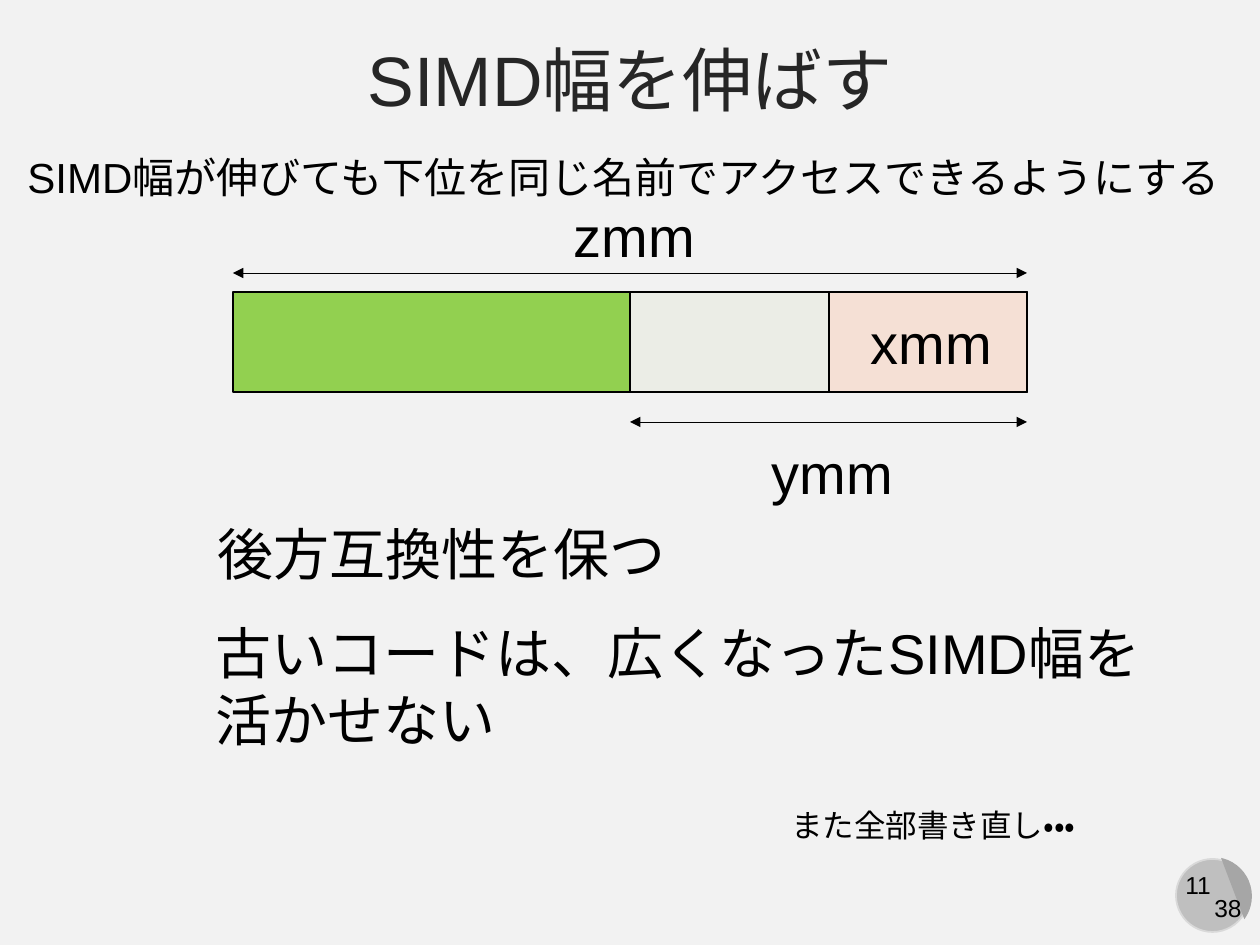
from dataclasses import dataclass

from lxml.etree import SubElement
from pptx import Presentation
from pptx.dml.color import RGBColor
from pptx.enum.lang import MSO_LANGUAGE_ID
from pptx.enum.shapes import MSO_CONNECTOR, MSO_SHAPE
from pptx.enum.text import MSO_ANCHOR, PP_ALIGN
from pptx.oxml.ns import qn
from pptx.util import Emu, Pt

EMU_PER_PX = 914400 / 126


@dataclass(frozen=True)
class Theme:
    font: str = "Arial"
    background: str = "F2F2F2"
    title: str = "262626"
    ink: str = "000000"
    zmm: str = "92D050"
    ymm: str = "EBEDE6"
    xmm: str = "F5E0D5"
    badge: str = "BFBFBF"
    badge_edge: str = "D9D9D9"
    badge_shade: str = "A6A6A6"
    title_size: int = 40
    large: int = 32
    lead: int = 24
    note: int = 18
    number: int = 14


THEME = Theme()


def px(*lengths):
    return [Emu(round(length * EMU_PER_PX)) for length in lengths]


def color(code):
    return RGBColor.from_string(code)


def write_lines(frame, lines, size, ink=THEME.ink, align=PP_ALIGN.LEFT):
    for index, line in enumerate(lines):
        para = frame.paragraphs[0] if index == 0 else frame.add_paragraph()
        para.alignment = align
        span = para.add_run()
        span.text = line
        span.font.name = THEME.font
        span.font.size = Pt(size)
        span.font.color.rgb = color(ink)
        span.font.language_id = MSO_LANGUAGE_ID.JAPANESE


def add_title(page, text):
    title = page.shapes.title
    title.left, title.top, title.width, title.height = px(0, 26, 1260, 104)
    title.text_frame.vertical_anchor = MSO_ANCHOR.MIDDLE
    write_lines(title.text_frame, [text], THEME.title_size, THEME.title, PP_ALIGN.CENTER)


def add_text(page, bounds, lines, size, wrap=False, align=PP_ALIGN.LEFT):
    box = page.shapes.add_textbox(*px(*bounds))
    box.text_frame.word_wrap = wrap
    write_lines(box.text_frame, lines, size, align=align)


def add_block(page, kind, bounds, fill, edge=None):
    block = page.shapes.add_shape(kind, *px(*bounds))
    block.shadow.inherit = False
    block.fill.solid()
    block.fill.fore_color.rgb = color(fill)
    if edge:
        block.line.color.rgb = color(edge)
        block.line.width = Pt(1)
    else:
        block.line.fill.background()
    return block


def add_span_arrow(page, left, right, y):
    """Draw a horizontal line with an arrowhead at both ends."""
    arrow = page.shapes.add_connector(MSO_CONNECTOR.STRAIGHT, *px(left, y, right, y))
    arrow.line.color.rgb = color(THEME.ink)
    arrow.line.width = Pt(0.5)
    outline = arrow.line._get_or_add_ln()
    for end in ("a:headEnd", "a:tailEnd"):
        SubElement(outline, qn(end), type="triangle")
    SubElement(arrow._element.spPr, qn("a:effectLst"))


def add_registers(page):
    """Draw nested registers that share their low end on the right."""
    right, top, full, height = 1027, 292, 794, 100
    for share, fill in ((1, THEME.zmm), (2, THEME.ymm), (4, THEME.xmm)):
        width = full // share
        add_block(page, MSO_SHAPE.RECTANGLE, (right - width, top, width, height), fill, THEME.ink)
    add_span_arrow(page, right - full, right, 273)
    add_span_arrow(page, right - full // 2, right, 422)
    for name, left, label_top in (("zmm", 561, 195), ("ymm", 759, 432), ("xmm", 858, 302)):
        add_text(page, (left, label_top, 147, 81), [name], THEME.large)


def add_page_badge(page, number, total):
    add_block(page, MSO_SHAPE.OVAL, (1176, 859, 73, 73), THEME.badge, THEME.badge_edge)
    shade = add_block(page, MSO_SHAPE.CHORD, (1174, 857, 78, 78), THEME.badge_shade)
    shade.adjustments[0] = 16.2
    shade.adjustments[1] = 84.85
    shade.rotation = 255
    for text, left, top in ((number, 1171, 864), (total, 1201, 887)):
        add_text(page, (left, top, 54, 43), [text], THEME.number, align=PP_ALIGN.CENTER)


def main():
    deck = Presentation()
    deck.slide_width, deck.slide_height = px(1260, 945)
    page = deck.slides.add_slide(deck.slide_layouts[5])
    page.background.fill.solid()
    page.background.fill.fore_color.rgb = color(THEME.background)

    add_page_badge(page, "11", "38")
    add_title(page, "SIMD幅を伸ばす")
    add_registers(page)
    add_text(page, (15, 145, 1276, 63),
             ["SIMD幅が伸びても下位を同じ名前でアクセスできるようにする"], THEME.lead)
    add_text(page, (205, 513, 478, 81), ["後方互換性を保つ"], THEME.large)
    add_text(page, (203, 612, 959, 149),
             ["古いコードは、広くなったSIMD幅を", "活かせない"], THEME.large, wrap=True)
    add_text(page, (779, 800, 375, 50), ["また全部書き直し・・・"], THEME.note, wrap=True)
    deck.save("out.pptx")


if __name__ == "__main__":
    main()
